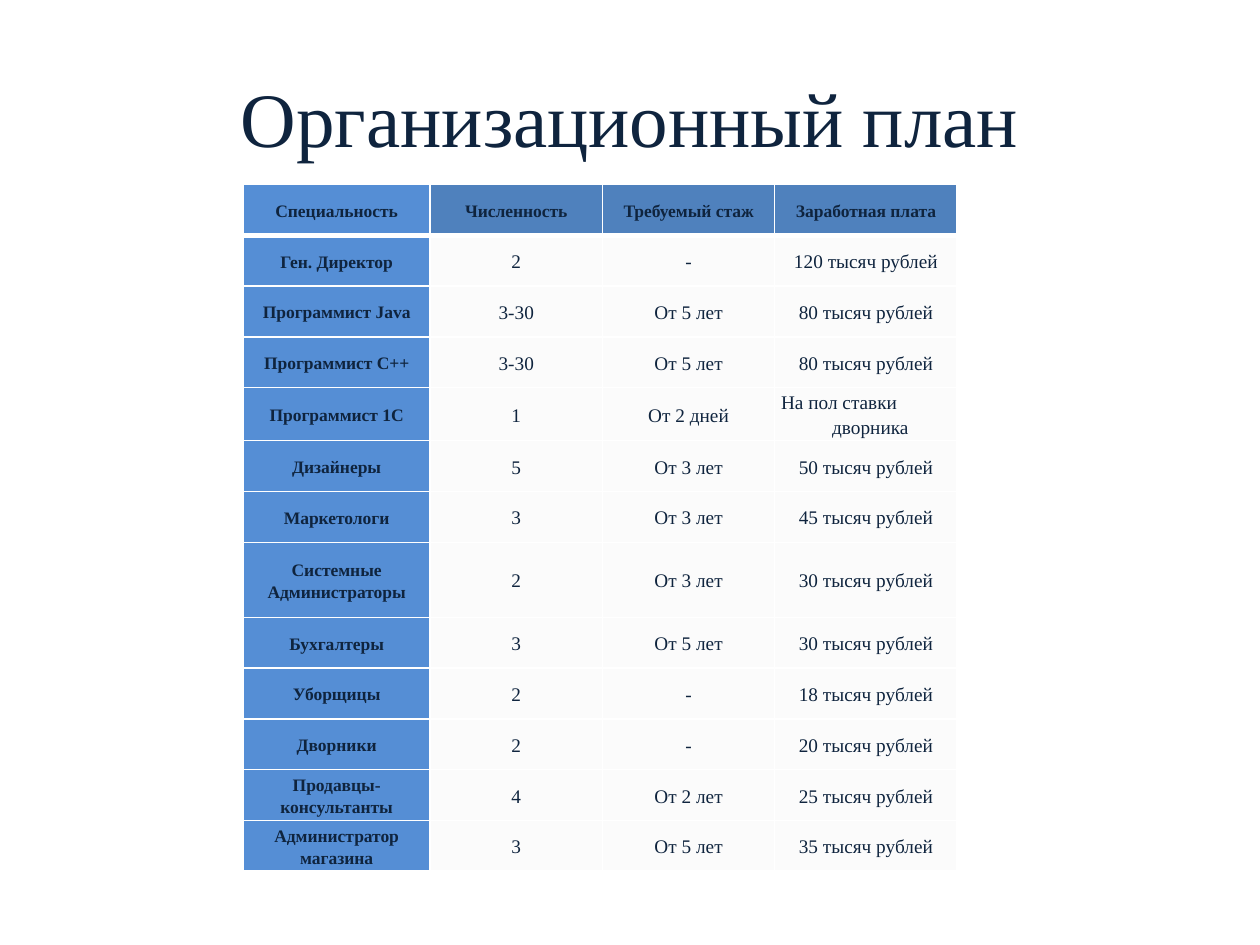
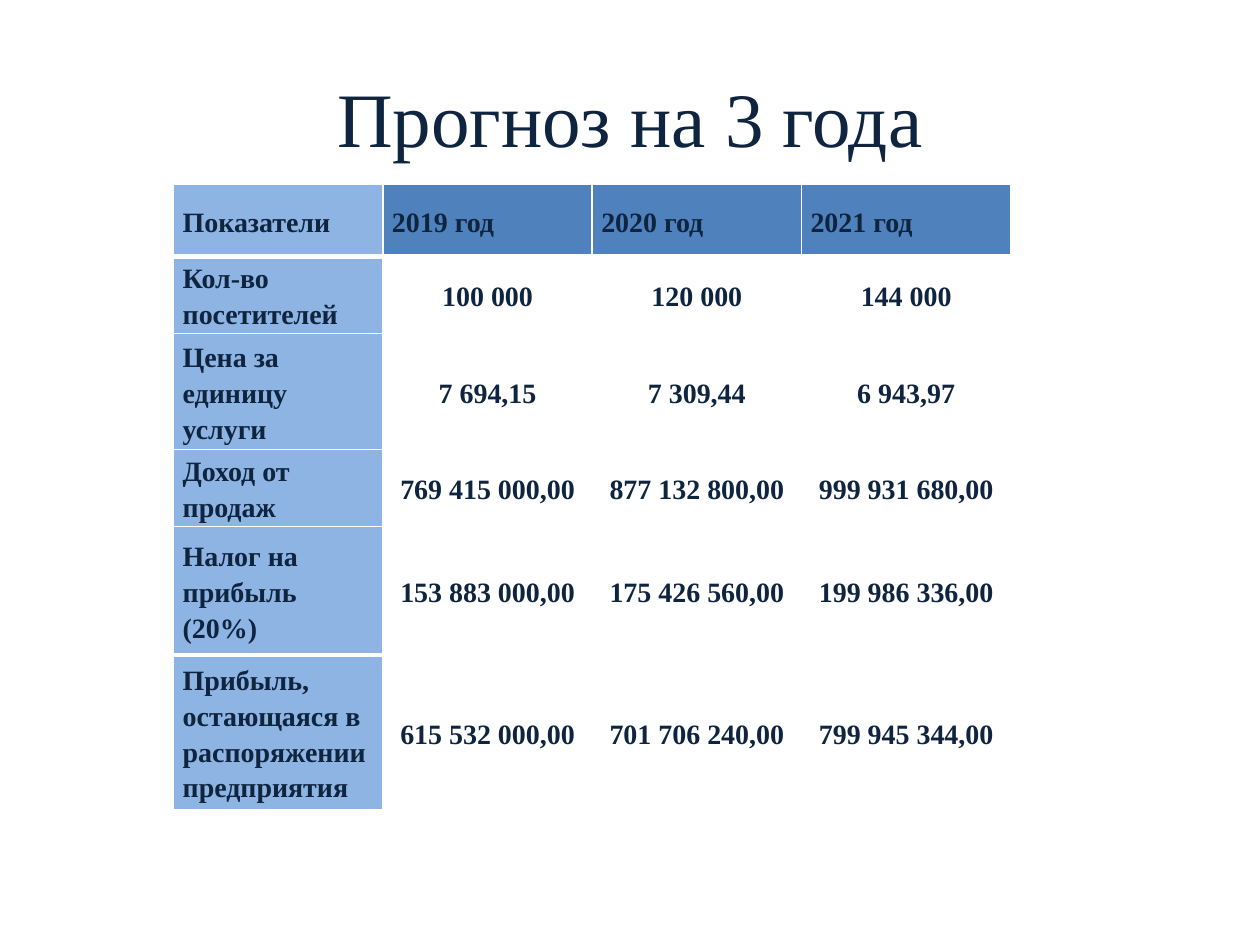
import pptx
import pptx.dml.color
import pptx.enum.text
import pptx.oxml.ns
import pptx.util
from lxml import etree

Pt = pptx.util.Pt
ALIGN = pptx.enum.text.PP_ALIGN
MIDDLE = pptx.enum.text.MSO_ANCHOR.MIDDLE
qn = pptx.oxml.ns.qn

COLORS = {
    "ink": "0F243E",
    "header": "4F81BD",
    "specialty": "558ED5",
    "indicator": "8EB4E3",
    "value": "EAEAEA",
    "border": "FFFFFF",
}
FONT = "Times New Roman"
TABLE_TOP = 105.5
THIN, THICK = 1, 3
HANGING_TEXT = "На пол ставки дворника"

staff = {
    "title": "Организационный план",
    "title_left": 0,
    "left": 139,
    "columns": [106.7, 98.6, 98.4, 104.3],
    "heights": [29] * 7 + [43] + [29] * 5,
    "frame_height": 391,
    "margin": 3.6,
    "label_size": 10,
    "value_size": 11,
    "label_align": ALIGN.CENTER,
    "label_fill": "specialty",
    "value_fill": "value",
    "values_bold": False,
    "thick_below": [0],
    "rows": [
        ["Специальность", "Численность", "Требуемый стаж", "Заработная плата"],
        ["Ген. Директор", "2", "-", "120 тысяч рублей"],
        ["Программист Java", "3-30", "От 5 лет", "80 тысяч рублей"],
        ["Программист С++", "3-30", "От 5 лет", "80 тысяч рублей"],
        ["Программист 1С", "1", "От 2 дней", HANGING_TEXT],
        ["Дизайнеры", "5", "От 3 лет", "50 тысяч рублей"],
        ["Маркетологи", "3", "От 3 лет", "45 тысяч рублей"],
        ["Системные Администраторы", "2", "От 3 лет", "30 тысяч рублей"],
        ["Бухгалтеры", "3", "От 5 лет", "30 тысяч рублей"],
        ["Уборщицы", "2", "-", "18 тысяч рублей"],
        ["Дворники", "2", "-", "20 тысяч рублей"],
        ["Продавцы-консультанты", "4", "От 2 лет", "25 тысяч рублей"],
        ["Администратор магазина", "3", "От 5 лет", "35 тысяч рублей"],
    ],
}
# Rows of height 0 grow to fit their text.
forecast = {
    "title": "Прогноз на 3 года",
    "title_left": 36,
    "left": 99.2,
    "columns": [119.6] * 4,
    "heights": [41, 0, 0, 31.7, 73.4, 0],
    "frame_height": 350.6,
    "margin": 5.2,
    "label_size": 16,
    "value_size": 16,
    "label_align": ALIGN.LEFT,
    "label_fill": "indicator",
    "value_fill": None,
    "values_bold": True,
    "thick_below": [0, 4],
    "rows": [
        ["Показатели", "2019 год", "2020 год", "2021 год"],
        ["Кол-во посетителей", "100 000", "120 000", "144 000"],
        ["Цена за единицу услуги", "7 694,15", "7 309,44", "6 943,97"],
        ["Доход от продаж", "769 415 000,00", "877 132 800,00", "999 931 680,00"],
        ["Налог на прибыль (20%)", "153 883 000,00", "175 426 560,00", "199 986 336,00"],
        ["Прибыль, остающаяся в распоряжении предприятия",
         "615 532 000,00", "701 706 240,00", "799 945 344,00"],
    ],
}


def write(frame, text, size, align=ALIGN.CENTER, bold=False, spacing=None, hanging=0):
    """Fill a text frame; hanging indents every line but the first."""
    frame.word_wrap = True
    frame.text = text
    para = frame.paragraphs[0]
    para.alignment = align
    para.line_spacing = spacing
    if hanging:
        properties = para._p.get_or_add_pPr()
        properties.set("marL", str(Pt(hanging)))
        properties.set("indent", str(-Pt(hanging)))
    span = para.runs[0]
    span.font.name = FONT
    span.font.size = Pt(size)
    span.font.bold = bold
    span.font.color.rgb = pptx.dml.color.RGBColor.from_string(COLORS["ink"])


def style_cell(cell, fill, top, bottom):
    """Draw the borders at the given widths, then the fill (None for no fill)."""
    properties = cell._tc.get_or_add_tcPr()
    for side, width in (("L", THIN), ("R", THIN), ("T", top), ("B", bottom)):
        line = etree.SubElement(properties, qn(f"a:ln{side}"), w=str(Pt(width)))
        solid = etree.SubElement(line, qn("a:solidFill"))
        etree.SubElement(solid, qn("a:srgbClr"), val=COLORS["border"])
    if fill is None:
        cell.fill.background()
        return
    cell.fill.solid()
    cell.fill.fore_color.rgb = pptx.dml.color.RGBColor.from_string(COLORS[fill])
    if fill == "value":
        color = properties.find(qn("a:solidFill")).find(qn("a:srgbClr"))
        etree.SubElement(color, qn("a:alpha"), val="18000")


deck = pptx.Presentation()
deck.slide_width, deck.slide_height = Pt(720), Pt(540)

for plan in (staff, forecast):
    page = deck.slides.add_slide(deck.slide_layouts[6])
    title_left = plan["title_left"]
    box = page.shapes.add_textbox(Pt(title_left), Pt(21.6), Pt(720 - 2 * title_left), Pt(90))
    box.text_frame.vertical_anchor = MIDDLE
    write(box.text_frame, plan["title"], 44)

    rows, columns = plan["rows"], plan["columns"]
    table_frame = page.shapes.add_table(
        len(rows), len(columns), Pt(plan["left"]), Pt(TABLE_TOP),
        Pt(sum(columns)), Pt(plan["frame_height"]))
    table = table_frame.table
    for column, width in zip(table.columns, columns):
        column.width = Pt(width)
    for row, height in zip(table.rows, plan["heights"]):
        row.height = Pt(height)
    table_frame.height = Pt(plan["frame_height"])

    for r, texts in enumerate(rows):
        top = THICK if r - 1 in plan["thick_below"] else THIN
        bottom = THICK if r in plan["thick_below"] else THIN
        for c, text in enumerate(texts):
            cell = table.cell(r, c)
            is_label = r == 0 or c == 0
            is_hanging = text == HANGING_TEXT
            if c == 0:
                fill = plan["label_fill"]
            else:
                fill = "header" if r == 0 else plan["value_fill"]
            style_cell(cell, fill, top, bottom)
            cell.vertical_anchor = MIDDLE
            cell.margin_left = cell.margin_right = Pt(plan["margin"])
            cell.margin_top = cell.margin_bottom = 0
            align = plan["label_align"] if is_label else ALIGN.CENTER
            write(cell.text_frame, text,
                  plan["label_size"] if is_label else plan["value_size"],
                  align=ALIGN.LEFT if is_hanging else align,
                  bold=is_label or plan["values_bold"], spacing=1.15,
                  hanging=29.2 if is_hanging else 0)

deck.save("out.pptx")
